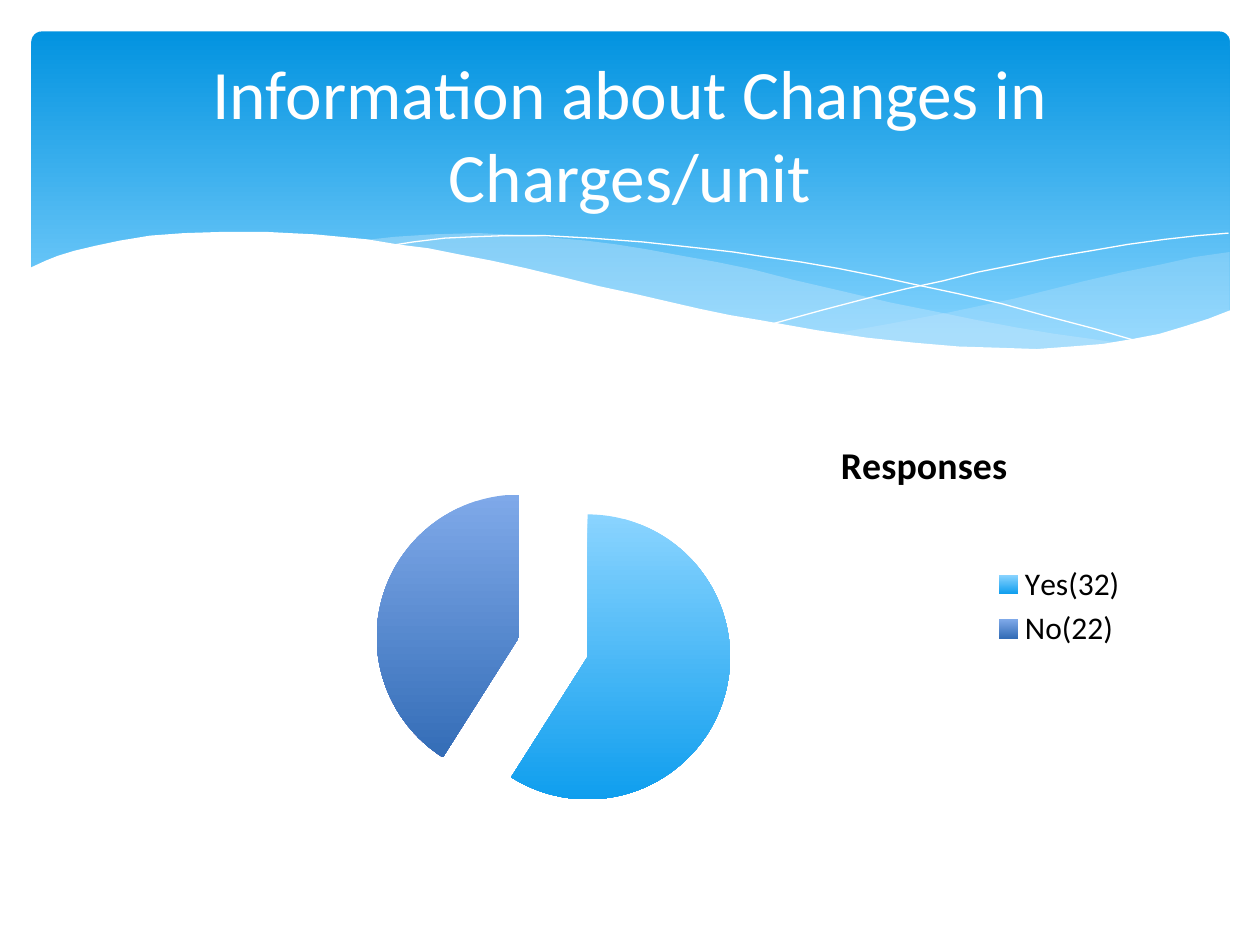
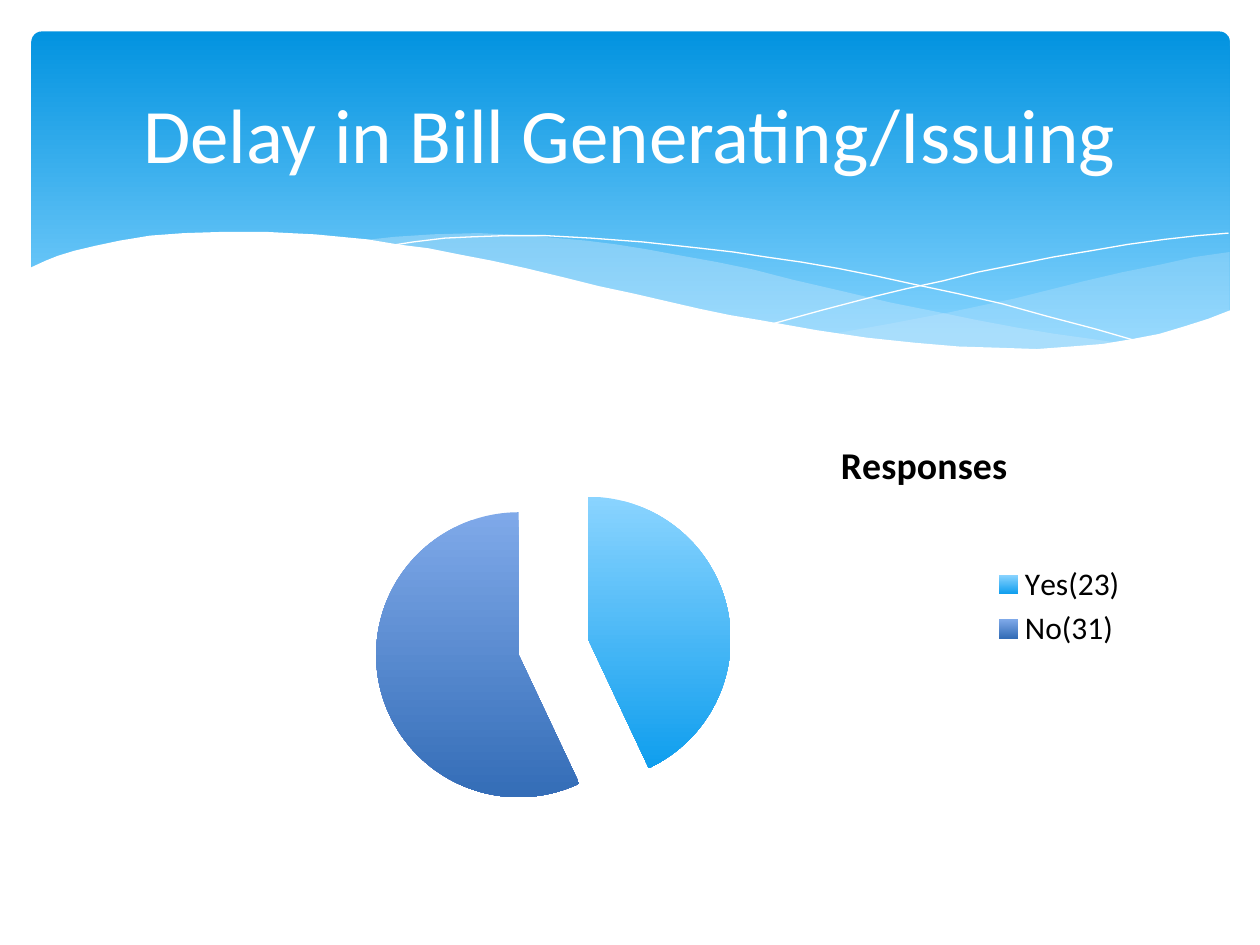
from dataclasses import dataclass

from lxml import etree
from pptx import Presentation, util as u
from pptx.chart.data import CategoryChartData
from pptx.dml.color import RGBColor
from pptx.enum import chart as ch, shapes as sh, text as tx
from pptx.oxml import ns

Inches = u.Inches


@dataclass(frozen=True)
class Theme:
    font: str = "Calibri"
    white: str = "FFFFFF"
    ink: str = "000000"
    wave: str = "C6E7FC"
    band: tuple = ("0293E0", "83D3FE")
    pies: tuple = (("8AD4FF", "0F9EEE"), ("7FA9E9", "346DB7"))
    head: float = 44
    body: float = 18
    label: float = 21.6


# Wave outlines, in inches
RIGHT = [(9.76, 2), (9.48, 2.04), (9.21, 2.1), (8.91, 2.16), (8.61, 2.23),
         (8.05, 2.37), (7.53, 2.48), (7.06, 2.57), (6.61, 2.65), (6.91, 2.69),
         (7.19, 2.72), (7.45, 2.75), (7.81, 2.77), (8.14, 2.78), (8.54, 2.76),
         (8.81, 2.73), (9.05, 2.69), (9.28, 2.63), (9.49, 2.57), (9.76, 2.47)]
MIDDLE = [(8.93, 2.73), (8.66, 2.69), (8.37, 2.65), (8.07, 2.6), (7.75, 2.54),
          (7.41, 2.47), (7.06, 2.4), (6.68, 2.31), (6.29, 2.22), (5.98, 2.14),
          (5.69, 2.08), (5.41, 2.03), (5.14, 1.98), (4.89, 1.94), (4.65, 1.91),
          (4.42, 1.89), (4.2, 1.87), (3.8, 1.85), (3.44, 1.86), (3.13, 1.88),
          (2.86, 1.91), (3.23, 1.96), (3.62, 2.03), (4.04, 2.11), (4.49, 2.22),
          (4.91, 2.32), (5.3, 2.4), (5.66, 2.48), (6.01, 2.55), (6.34, 2.61),
          (6.65, 2.66), (6.95, 2.7), (7.22, 2.74), (7.48, 2.76), (7.85, 2.78),
          (8.28, 2.78), (8.57, 2.77), (8.76, 2.75)]
FALL = [(3.09, 1.95), (3.28, 1.92), (3.53, 1.89), (3.74, 1.88), (4.01, 1.87),
        (4.33, 1.87), (4.69, 1.89), (5.1, 1.92), (5.56, 1.97), (5.82, 2),
        (6.08, 2.04), (6.36, 2.08), (6.65, 2.13), (6.95, 2.19), (7.27, 2.26),
        (7.6, 2.33), (7.95, 2.41), (8.31, 2.51), (8.69, 2.61), (9.07, 2.72)]
RISE = [(6.13, 2.57), (6.53, 2.46), (6.95, 2.35), (7.2, 2.29), (7.48, 2.23),
        (7.76, 2.16), (8.06, 2.1), (8.36, 2.04), (8.66, 1.99), (8.95, 1.94),
        (9.24, 1.9), (9.51, 1.87), (9.75, 1.85)]
FRONT = [(9.77, 2.46), (9.59, 2.53), (9.4, 2.59), (9.2, 2.65), (8.99, 2.69),
         (8.75, 2.73), (8.5, 2.75), (8.23, 2.77), (7.93, 2.76), (7.61, 2.75),
         (7.26, 2.72), (6.88, 2.68), (6.48, 2.62), (6.03, 2.54), (5.79, 2.5),
         (5.55, 2.45), (5.29, 2.39), (5.03, 2.33), (4.75, 2.27), (4.47, 2.2),
         (4.18, 2.13), (3.91, 2.07), (3.65, 2.02), (3.4, 1.97), (3.16, 1.94),
         (2.92, 1.9), (2.71, 1.88), (2.5, 1.86), (2.3, 1.85), (2.11, 1.84),
         (1.77, 1.84), (1.46, 1.85), (1.19, 1.87), (0.95, 1.91), (0.76, 1.95),
         (0.59, 1.99), (0.46, 2.03), (0.36, 2.07), (0.23, 2.13),
         (0.23, 3.29), (9.77, 3.29)]


def rgb(code):
    return RGBColor.from_string(code)


def blend(fill, pair, end=1.0):
    """Fill from top to bottom with two colours."""
    fill.gradient()
    fill.gradient_angle = 270
    for stop, code, spot in zip(fill.gradient_stops, pair, (0, end)):
        stop.color.rgb = rgb(code)
        stop.position = spot


def node(tag, val):
    item = etree.Element(ns.qn(tag))
    item.set("val", str(val))
    return item


def layout(**vals):
    """Manual chart layout, in fractions of the chart's size."""
    top = etree.Element(ns.qn("c:layout"))
    box = etree.SubElement(top, ns.qn("c:manualLayout"))
    if "w" in vals:
        box.append(node("c:layoutTarget", "inner"))
    for key in ("x", "y"):
        box.append(node(f"c:{key}Mode", "edge"))
    for key, val in vals.items():
        box.append(node(f"c:{key}", val))
    return top


class Deck:
    def __init__(self, theme):
        self.theme = theme
        self.prs = Presentation()
        self.prs.slide_width, self.prs.slide_height = Inches(10), Inches(7.5)
        self.slide = None

    def page(self):
        self.slide = self.prs.slides.add_slide(self.prs.slide_layouts[6])
        self.banner()

    def wave(self, pts, fill=None, alpha=None):
        """Filled outline, or a white hairline when there is no fill."""
        spots = [(Inches(x), Inches(y)) for x, y in pts]
        pen = self.slide.shapes.build_freeform(*spots[0])
        pen.add_line_segments(spots[1:], close=bool(fill))
        shape = pen.convert_to_shape()
        shape.shadow.inherit = False
        if not fill:
            shape.fill.background()
            shape.line.color.rgb = rgb(self.theme.white)
            shape.line.width = u.Pt(0)
            return
        shape.line.fill.background()
        shape.fill.solid()
        shape.fill.fore_color.rgb = rgb(fill)
        if alpha:
            color = shape.element.spPr.find(".//" + ns.qn("a:srgbClr"))
            color.append(etree.Element(ns.qn("a:alpha"), val=str(alpha * 1000)))

    def banner(self):
        band = self.slide.shapes.add_shape(
            sh.MSO_SHAPE.ROUNDED_RECTANGLE,
            Inches(0.25), Inches(0.25), Inches(9.51), Inches(2.7))
        band.adjustments[0] = 0.03
        band.shadow.inherit = False
        band.line.fill.background()
        blend(band.fill, self.theme.band, 0.9)
        self.wave(RIGHT, self.theme.wave, 29)
        self.wave(MIDDLE, self.theme.wave, 40)
        self.wave(FALL)
        self.wave(RISE)
        self.wave(FRONT, self.theme.white)

    def title(self, words, size):
        box = self.slide.shapes.add_textbox(
            Inches(0.5), Inches(0.37), Inches(9), Inches(1.37))
        frame = box.text_frame
        frame.word_wrap = True
        frame.vertical_anchor = tx.MSO_ANCHOR.MIDDLE
        para = frame.paragraphs[0]
        para.text = words
        para.alignment = tx.PP_ALIGN.CENTER
        self.style(para.font, size, self.theme.white)

    def style(self, font, size, color):
        font.name, font.size = self.theme.font, u.Pt(size)
        font.color.rgb = rgb(color)

    def pie(self, name, cats, vals):
        data = CategoryChartData()
        data.categories = cats
        data.add_series(name, vals)
        chart = self.slide.shapes.add_chart(
            ch.XL_CHART_TYPE.PIE, Inches(0.95), Inches(2.93),
            Inches(8.1), Inches(3.77), data).chart
        self.style(chart.font, self.theme.body, self.theme.ink)

        # Heading and legend
        chart.has_title = True
        para = chart.chart_title.text_frame.paragraphs[0]
        para.text = "Responses"
        self.style(para.font, self.theme.label, self.theme.ink)
        para.font.bold = True
        chart.has_legend = True
        chart.legend.position = ch.XL_LEGEND_POSITION.RIGHT
        chart.legend.include_in_layout = False

        # Exploded slices
        plot = chart.plots[0]
        plot.vary_by_categories = True
        series = plot.series[0]
        for i, pair in enumerate(self.theme.pies):
            blend(series.points[i].format.fill, pair)
        root = series._element
        root.find(ns.qn("c:tx")).addnext(node("c:explosion", 25))
        for props in root.findall(ns.qn("c:dPt") + "/" + ns.qn("c:spPr")):
            props.addprevious(node("c:explosion", 25))

        # Places of the heading and the pie
        head = chart.chart_title._element
        area = root.getparent().getparent()
        for part in (head, area):
            for old in part.findall(ns.qn("c:layout")):
                part.remove(old)
        head.find(ns.qn("c:tx")).addnext(layout(x=0.7, y=0.13))
        area.insert(0, layout(x=0.25, y=0.21, w=0.35, h=0.75))


def main():
    theme = Theme()
    deck = Deck(theme)

    # Changes in charges
    deck.page()
    deck.pie("Series 1", ("Yes(32)", "No(22)"), (59, 41))
    deck.title("Information about Changes in Charges/unit", theme.head * 0.9)

    # Delay in bills
    deck.page()
    deck.pie("Responses", ("Yes(23)", "No(31)"), (43, 57))
    deck.title("Delay in Bill Generating/Issuing", theme.head)

    deck.prs.save("out.pptx")


if __name__ == "__main__":
    main()
